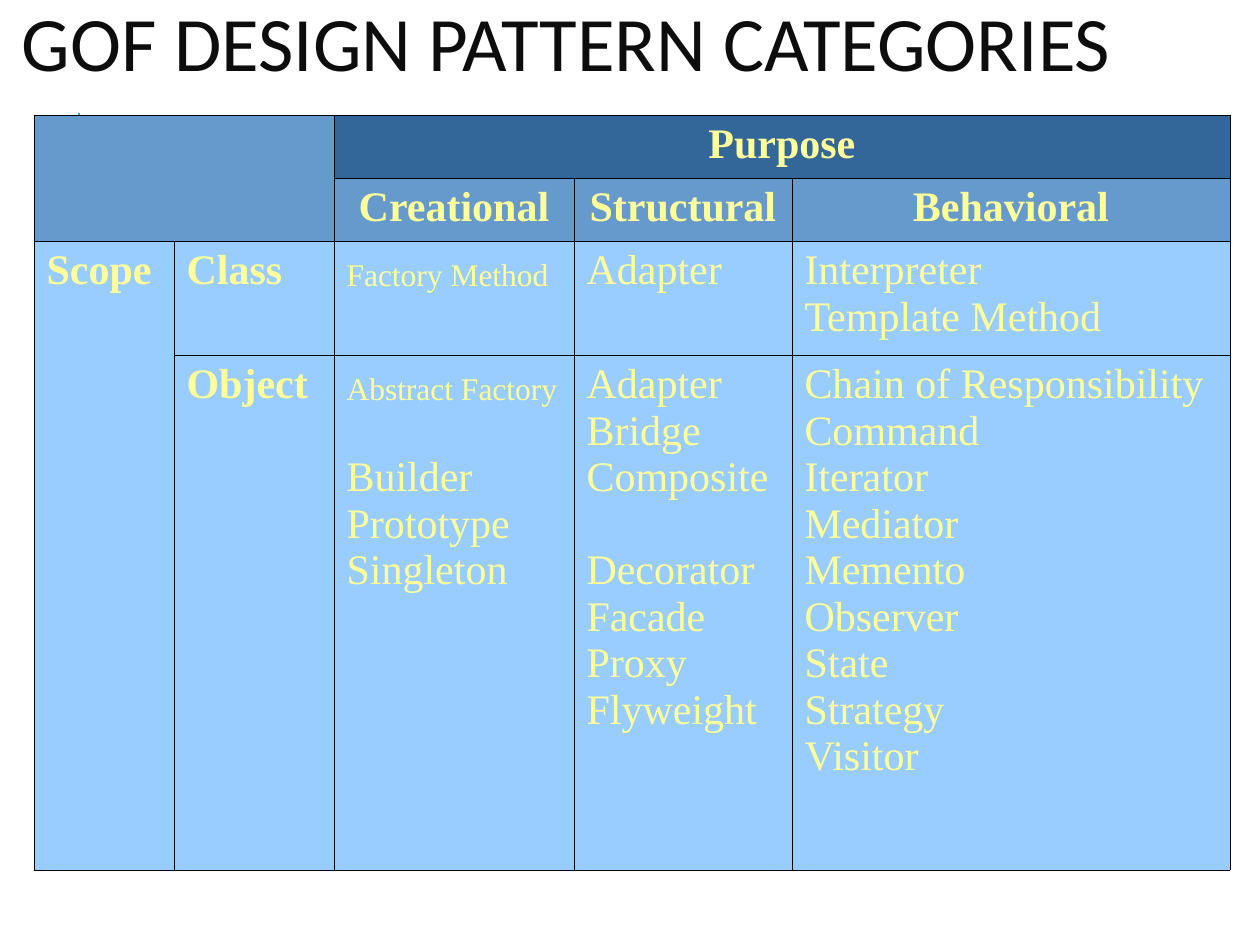
from lxml import etree
from pptx import Presentation
from pptx.dml.color import RGBColor
from pptx.enum.shapes import MSO_CONNECTOR as Conn
from pptx.enum.text import MSO_ANCHOR as Anchor, PP_ALIGN as Align
from pptx.oxml.ns import qn
from pptx.util import Pt

PX = 914400 // 126
PITCH = Pt(26.6)
DARK, MID, LIGHT = "336699", "6699CC", "99CCFF"
COLS = [140, 160, 240, 218, 438]
ROWS = [63, 63, 114, 515]
MERGES = [(0, 0, 1, 1), (0, 2, 0, 4), (2, 0, 3, 0)]
HEADS = {(0, 2): "Purpose", (1, 2): "Creational", (1, 3): "Structural",
         (1, 4): "Behavioral"}
SIDES = {(2, 0): "Scope", (2, 1): "Class", (3, 1): "Object"}
LISTS = {
    (2, 2): ["Factory Method"],
    (2, 3): ["Adapter"],
    (2, 4): ["Interpreter", "Template Method"],
    (3, 2): ["Abstract Factory", "Builder", "Prototype", "Singleton"],
    (3, 3): ["Adapter", "Bridge", "Composite", "Decorator", "Facade",
             "Proxy", "Flyweight"],
    (3, 4): ["Chain of Responsibility", "Command", "Iterator", "Mediator",
             "Memento", "Observer", "State", "Strategy", "Visitor"],
}
SMALL = {"Factory Method", "Abstract Factory"}
GAPS = {"Builder", "Decorator"}  # names that follow an open line


def px(*nums):
    return [n * PX for n in nums]


def color(code):
    return RGBColor.from_string(code)


def style(font, name, size, code, bold=False):
    for key, val in {"name": name, "size": Pt(size), "bold": bold}.items():
        setattr(font, key, val)
    font.color.rgb = color(code)


def add_title(slide, text):
    frame = slide.shapes.add_textbox(*px(0, 0, 1251, 98)).text_frame
    form = {"word_wrap": True, "vertical_anchor": Anchor.MIDDLE,
            "margin_left": 22 * PX}
    for key, val in form.items():
        setattr(frame, key, val)
    para = frame.paragraphs[0]
    para.text = text
    para.line_spacing = 0.8
    style(para.font, "Calibri", 44, "0D0D0D")


def add_rule(slide):
    rule = slide.shapes.add_connector(Conn.STRAIGHT, *px(79, 239, 79, 113))
    rule.line.color.rgb = color("1CADE4")
    rule.line.width = Pt(1.5)
    etree.SubElement(rule._element.spPr, qn("a:effectLst"))


def paint(cell, code):
    """Give a cell thin black borders and a solid fill."""
    props = cell._tc.get_or_add_tcPr()
    for side in "LRTB":
        edge = etree.SubElement(props, qn(f"a:ln{side}"), w=str(Pt(0.34)))
        solid = etree.SubElement(edge, qn("a:solidFill"))
        etree.SubElement(solid, qn("a:srgbClr"), val="000000")
    cell.fill.solid()
    cell.fill.fore_color.rgb = color(code)


def write(cell, names, bold=False, align=Align.LEFT):
    frame = cell.text_frame
    for i, name in enumerate(names):
        para = frame.add_paragraph() if i else frame.paragraphs[0]
        para.text = name
        para.alignment = align
        para.line_spacing = PITCH
        if name in GAPS:
            para.space_before = PITCH
        size = 18 if name in SMALL else 24
        style(para.font, "Times New Roman", size, "FFFF99", bold)


def add_grid(slide):
    box = px(34, 115, sum(COLS), sum(ROWS))
    grid = slide.shapes.add_table(len(ROWS), len(COLS), *box).table
    grid.first_row = grid.horz_banding = False
    for col, wide in zip(grid.columns, px(*COLS)):
        col.width = wide
    for row, high in zip(grid.rows, px(*ROWS)):
        row.height = high
    for r in range(len(ROWS)):
        for c in range(len(COLS)):
            top = DARK if r == 0 and c > 1 else MID
            paint(grid.cell(r, c), top if r < 2 else LIGHT)
    for r, c, low, right in MERGES:
        grid.cell(r, c).merge(grid.cell(low, right))
    for spot, text in HEADS.items():
        write(grid.cell(*spot), [text], True, Align.CENTER)
    for spot, text in SIDES.items():
        write(grid.cell(*spot), [text], True)
    for spot, names in LISTS.items():
        write(grid.cell(*spot), names)


def main():
    deck = Presentation()
    deck.slide_width, deck.slide_height = px(1260, 945)
    slide = deck.slides.add_slide(deck.slide_layouts[6])
    add_rule(slide)
    add_title(slide, "GOF DESIGN PATTERN CATEGORIES")
    add_grid(slide)
    deck.save("out.pptx")


if __name__ == "__main__":
    main()
